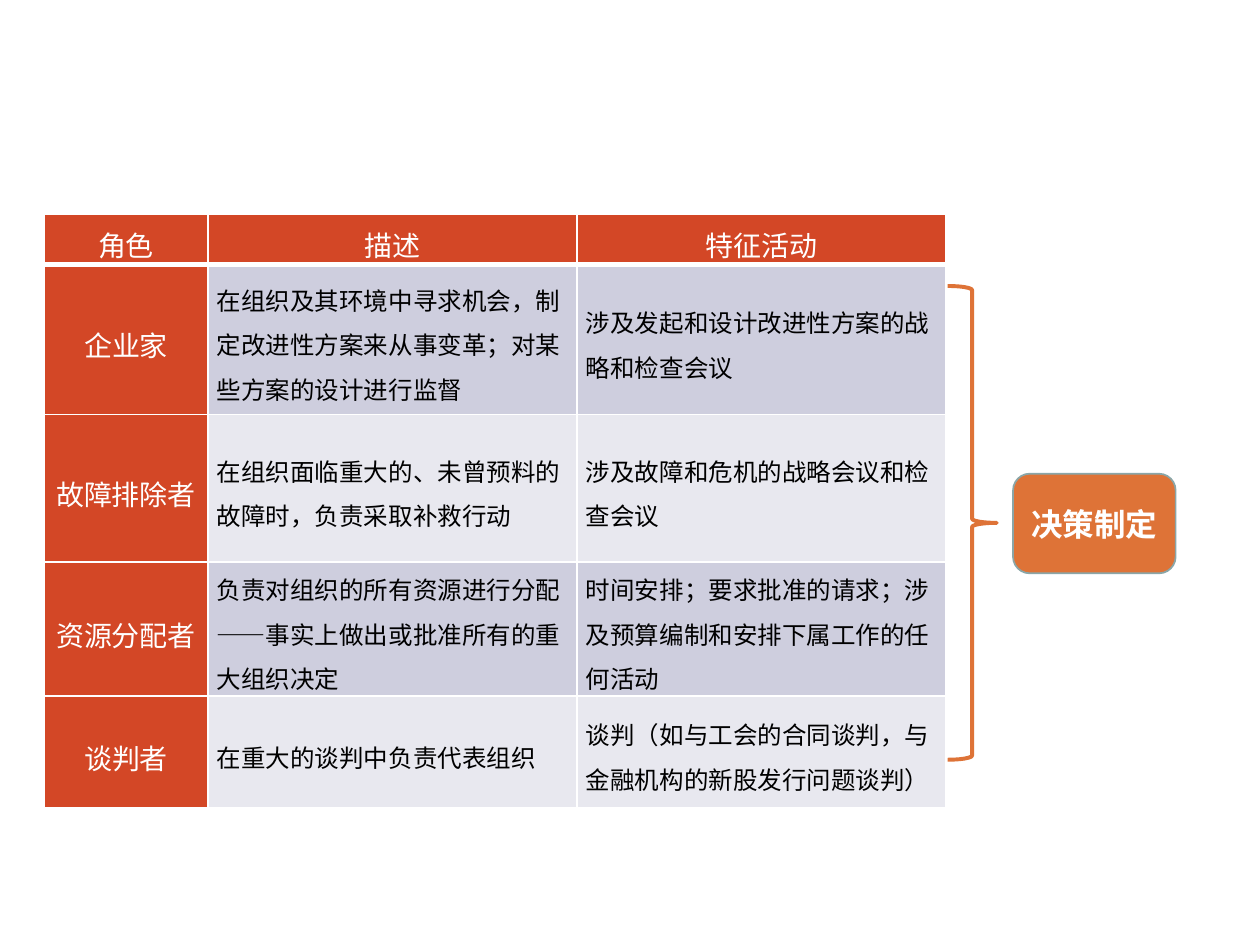
from lxml.etree import SubElement
from pptx import Presentation
from pptx.dml.color import RGBColor
from pptx.enum.shapes import MSO_SHAPE
from pptx.enum.text import MSO_ANCHOR, PP_ALIGN
from pptx.oxml.ns import qn
from pptx.util import Inches, Pt

COLORS = {
    "white": "FFFFFF", "black": "000000", "red": "D34726",
    "lilac": "CECEDE", "pale": "E8E8EF", "orange": "DE7337", "gray": "8AA6A8",
}
CJK = "Noto Sans CJK SC"

ROLES = [
    ("角色", "描述", "特征活动"),
    ("企业家", "在组织及其环境中寻求机会，制定改进性方案来从事变革；对某些方案的设计进行监督",
     "涉及发起和设计改进性方案的战略和检查会议"),
    ("故障排除者", "在组织面临重大的、未曾预料的故障时，负责采取补救行动",
     "涉及故障和危机的战略会议和检查会议"),
    ("资源分配者", "负责对组织的所有资源进行分配——事实上做出或批准所有的重大组织决定",
     "时间安排；要求批准的请求；涉及预算编制和安排下属工作的任何活动"),
    ("谈判者", "在重大的谈判中负责代表组织",
     "谈判（如与工会的合同谈判，与金融机构的新股发行问题谈判）"),
]
WIDTHS = [1.3, 2.93, 2.93]
HEIGHTS = [0.39, 1.19, 1.17, 1.06, 0.89]


class Deck:
    """Holds the style and the current slide."""

    def __init__(self, slide):
        self.slide = slide

    def color(self, name):
        return RGBColor.from_string(COLORS[name])

    def text(self, para, words, size, color, font, bold=False):
        run = para.add_run()
        run.text = words
        run.font.size = Pt(size)
        run.font.bold = bold
        run.font.color.rgb = self.color(color)
        run.font.name = font
        # Chinese glyphs take the East Asian font
        SubElement(run.font._element, qn("a:ea"), typeface=CJK)

    def border(self, cell, head):
        props = cell._tc.get_or_add_tcPr()
        for side in "LRTB":
            width = 3 if head and side == "B" else 1
            line = SubElement(props, qn(f"a:ln{side}"), w=str(Pt(width)))
            fill = SubElement(line, qn("a:solidFill"))
            SubElement(fill, qn("a:srgbClr"), val=COLORS["white"])

    def cell(self, cell, words, row, col):
        head = row == 0
        label = head or col == 0
        self.border(cell, head)
        cell.fill.solid()
        band = "lilac" if row % 2 else "pale"
        cell.fill.fore_color.rgb = self.color("red" if label else band)
        cell.vertical_anchor = MSO_ANCHOR.MIDDLE
        cell.margin_left = cell.margin_right = Inches(0.05 if head else 0.07)
        cell.margin_top = cell.margin_bottom = 0
        para = cell.text_frame.paragraphs[0]
        para.alignment = PP_ALIGN.CENTER if label else PP_ALIGN.LEFT
        para.line_spacing = 1.25
        size, color = (16, "white") if label else (14, "black")
        self.text(para, words, size, color, CJK)

    def table(self, left, top, rows, widths, heights):
        table = self.slide.shapes.add_table(
            len(rows), len(widths), Inches(left), Inches(top),
            Inches(sum(widths)), Inches(sum(heights))).table
        for col, width in zip(table.columns, widths):
            col.width = Inches(width)
        for row, height in zip(table.rows, heights):
            row.height = Inches(height)
        for r, texts in enumerate(rows):
            for c, words in enumerate(texts):
                self.cell(table.cell(r, c), words, r, c)

    def shape(self, kind, box, line, width, fill=None):
        shape = self.slide.shapes.add_shape(kind, *map(Inches, box))
        shape.shadow.inherit = False
        shape.line.color.rgb = self.color(line)
        shape.line.width = Pt(width)
        if fill:
            shape.fill.solid()
            shape.fill.fore_color.rgb = self.color(fill)
        else:
            shape.fill.background()
        return shape

    def badge(self, box, words):
        shape = self.shape(MSO_SHAPE.ROUNDED_RECTANGLE, box, "gray", 1, "orange")
        frame = shape.text_frame
        frame.word_wrap = True
        frame.vertical_anchor = MSO_ANCHOR.MIDDLE
        para = frame.paragraphs[0]
        para.alignment = PP_ALIGN.CENTER
        self.text(para, words, 18, "white", "Arial", bold=True)


def main():
    prs = Presentation()
    prs.slide_width, prs.slide_height = Inches(10), Inches(7.5)
    deck = Deck(prs.slides.add_slide(prs.slide_layouts[6]))

    # Table of roles
    deck.table(0.35, 1.7, ROLES, WIDTHS, HEIGHTS)
    # Brace that gathers the roles
    deck.shape(MSO_SHAPE.RIGHT_BRACE, (7.52, 2.27, 0.39, 3.76), "orange", 2.25)
    # Shared heading
    deck.badge((8.04, 3.76, 1.29, 0.79), "决策制定")

    prs.save("out.pptx")


if __name__ == "__main__":
    main()
